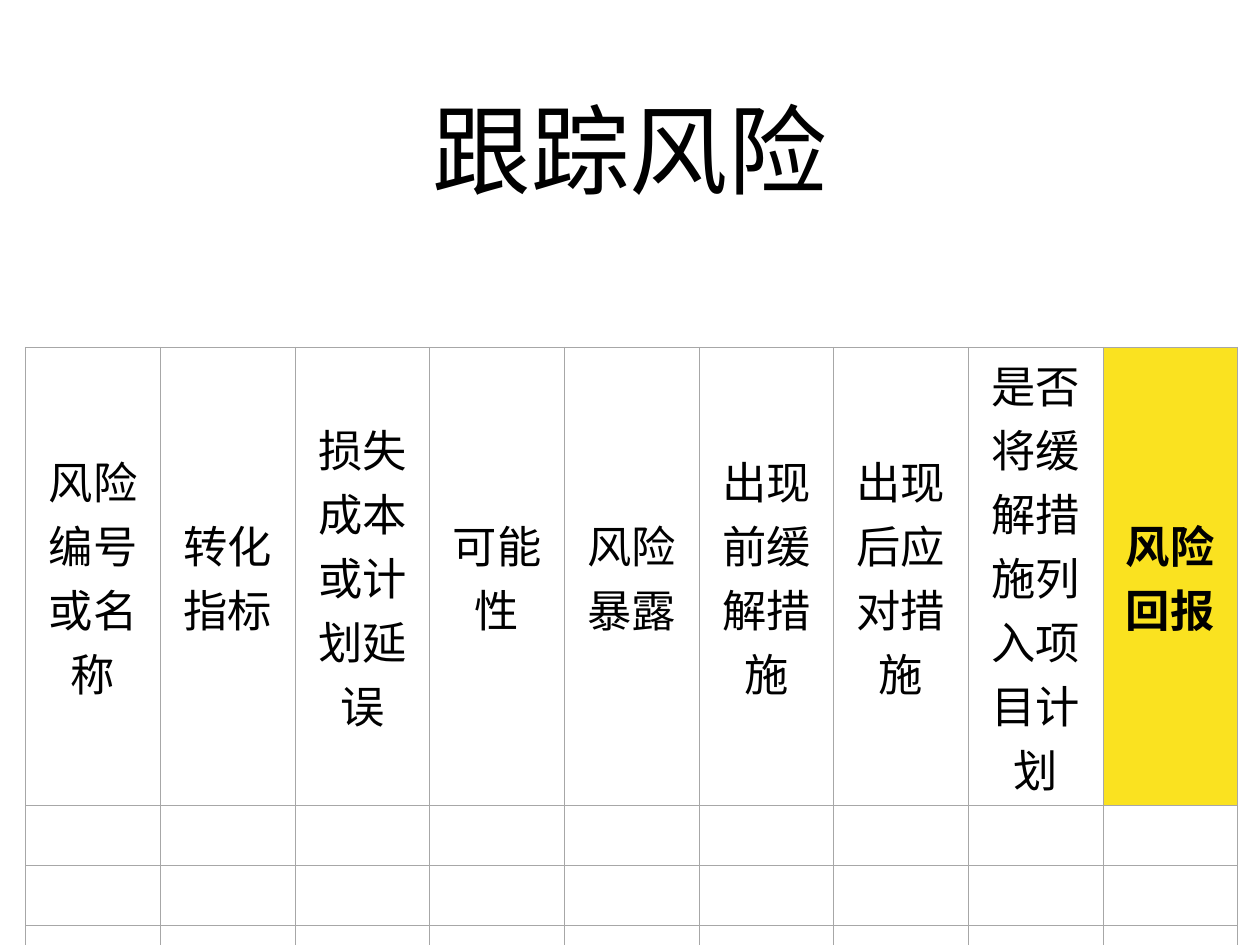
"""Build the risk tracking slide: a title over a nine-column table."""
from lxml import etree
from pptx import Presentation
from pptx.dml.color import RGBColor
from pptx.enum.text import MSO_ANCHOR, PP_ALIGN
from pptx.oxml.ns import qn
from pptx.util import Inches, Pt

CENTER, MIDDLE = PP_ALIGN.CENTER, MSO_ANCHOR.MIDDLE
COLORS = {"text": "000000", "rule": "A7A7A7", "plain": "FFFFFF", "highlight": "FAE220"}
HEADERS = ["风险编号或名称", "转化指标", "损失成本或计划延误", "可能性", "风险暴露",
           "出现前缓解措施", "出现后应对措施", "是否将缓解措施列入项目计划", "风险回报"]
COL_W, HEAD_H, ROW_H, EMPTY_ROWS = 1.52, 5.17, 0.68, 3


def style_text(p, font, size, bold=False):
    p.alignment = CENTER
    for r in p.runs:
        r.font.name, r.font.size, r.font.bold = font, Pt(size), bold
        r.font.color.rgb = RGBColor.from_string(COLORS["text"])
        ea = etree.SubElement(r.font._element, qn("a:ea"))
        ea.set("typeface", font)


def add_borders(cell):
    tc_pr = cell._tc.get_or_add_tcPr()
    for side in ("lnL", "lnR", "lnT", "lnB"):
        ln = etree.SubElement(tc_pr, qn(f"a:{side}"), w=str(Pt(0.6)))
        fill = etree.SubElement(ln, qn("a:solidFill"))
        etree.SubElement(fill, qn("a:srgbClr"), val=COLORS["rule"])


prs = Presentation()
prs.slide_width, prs.slide_height = Inches(14.22), Inches(10.67)
s = prs.slides.add_slide(prs.slide_layouts[6])

title = s.shapes.add_textbox(Inches(1.04), Inches(0.49), Inches(12.14), Inches(2.36))
tf = title.text_frame
tf.word_wrap, tf.vertical_anchor = True, MIDDLE
tf.margin_left = tf.margin_right = tf.margin_top = tf.margin_bottom = Inches(0.06)
tf.text = "跟踪风险"
style_text(tf.paragraphs[0], "Roboto", 80)

table = s.shapes.add_table(
    1 + EMPTY_ROWS, len(HEADERS), Inches(0.29), Inches(3.92),
    Inches(COL_W * len(HEADERS)), Inches(HEAD_H + ROW_H * EMPTY_ROWS)).table
table.first_row = table.horz_banding = False
for col in table.columns:
    col.width = Inches(COL_W)
for i, row in enumerate(table.rows):
    row.height = Inches(ROW_H if i else HEAD_H)
    for header, cell in zip(HEADERS, row.cells):
        highlighted = i == 0 and header == HEADERS[-1]
        add_borders(cell)
        cell.fill.solid()
        cell.fill.fore_color.rgb = RGBColor.from_string(
            COLORS["highlight" if highlighted else "plain"])
        cell.vertical_anchor = MIDDLE
        if i == 0:
            p = cell.text_frame.paragraphs[0]
            p.text = header
            style_text(p, "Noto Sans CJK SC", 36, highlighted)

prs.save("out.pptx")
